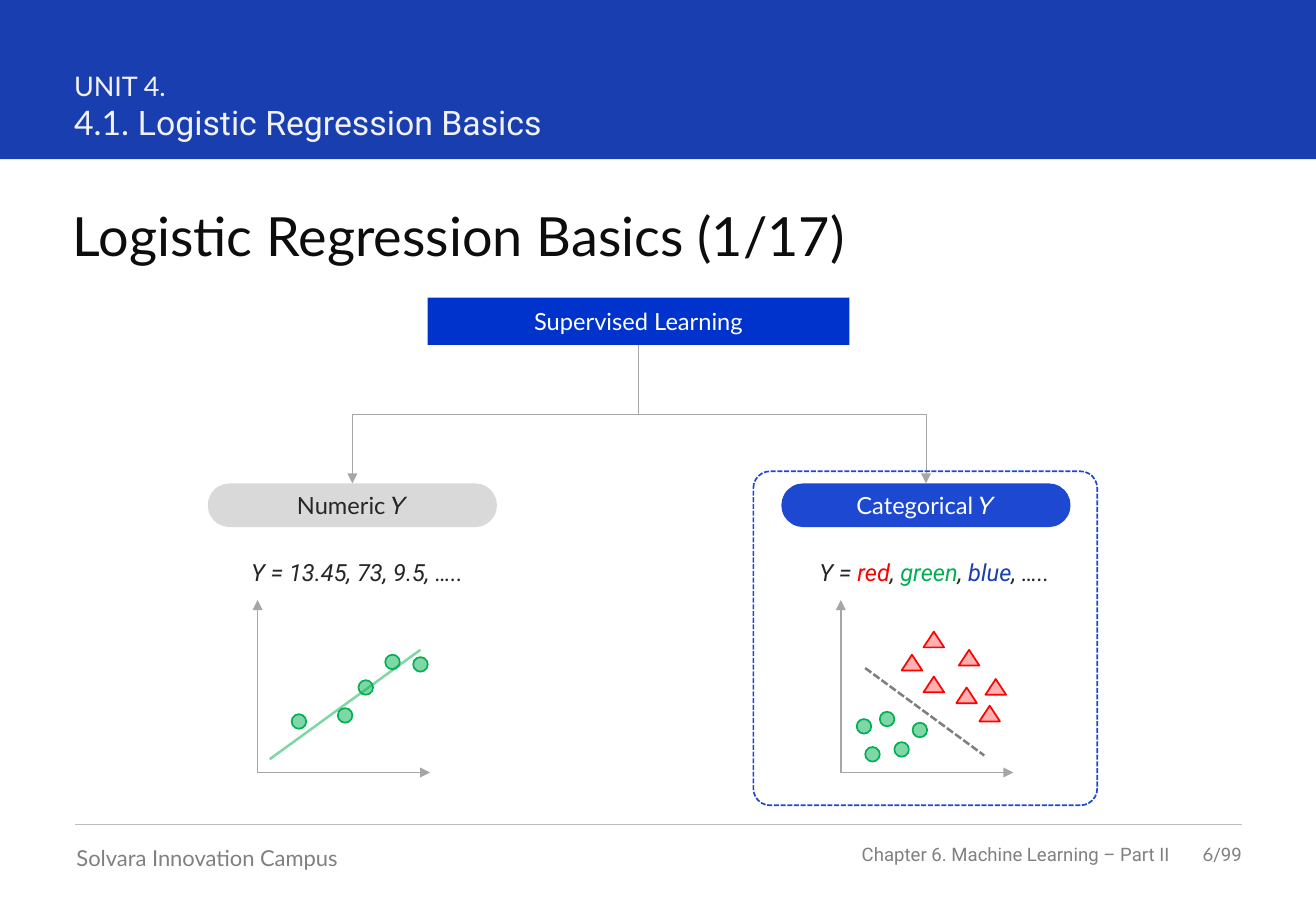
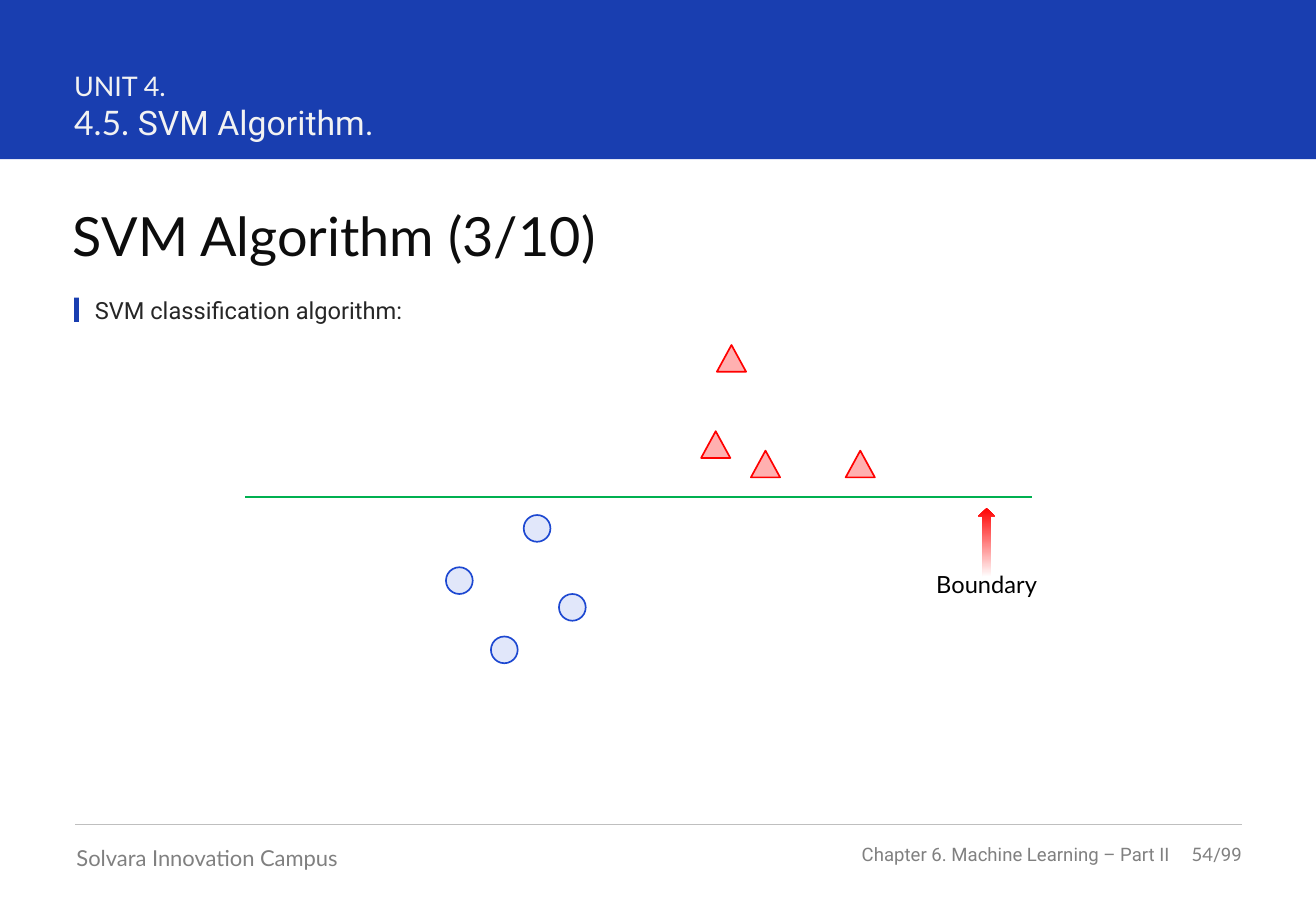
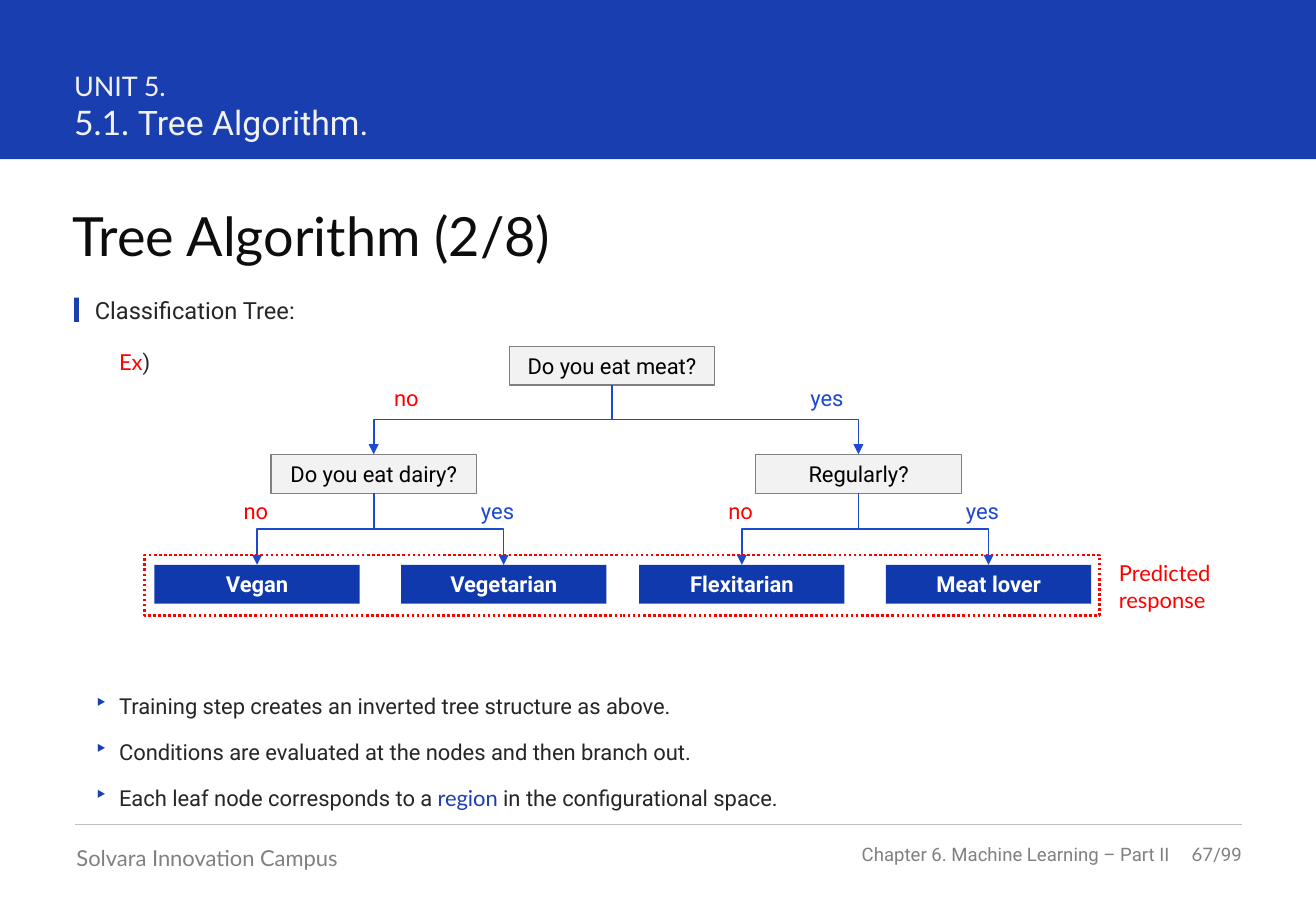
from lxml.etree import SubElement
from pptx import Presentation
from pptx.dml.color import RGBColor
from pptx.enum.dml import MSO_LINE
from pptx.enum.shapes import MSO_CONNECTOR, MSO_SHAPE
from pptx.enum.text import MSO_ANCHOR, PP_ALIGN
from pptx.oxml.ns import qn
from pptx.util import Pt

PX = 9144
INK = {
    "band": "193EB0", "pale": "F2F2F2", "title": "0D0D0D", "text": "262626",
    "gray": "808080", "rule": "BFBFBF", "axis": "A6A6A6", "pill": "D9D9D9",
    "root": "0033CC", "blue": "1D48D1", "leaf": "0F39AD", "sky": "C5D1F7",
    "red": "FF0000", "green": "00B050", "white": "FFFFFF", "black": "000000",
}
INK = {name: RGBColor.from_string(code) for name, code in INK.items()}
LEFT, MID, RIGHT = PP_ALIGN.LEFT, PP_ALIGN.CENTER, PP_ALIGN.RIGHT
RECT, PILL = MSO_SHAPE.RECTANGLE, MSO_SHAPE.ROUNDED_RECTANGLE
DOT, PEAK = MSO_SHAPE.OVAL, MSO_SHAPE.ISOSCELES_TRIANGLE


def put(page, box, text=None, kind=None, fill=None, alpha=None, line=None, width=1,
        dash=None, bend=None, size=13, font="Roboto", color="text", bold=False,
        slant=False, align=LEFT, middle=False, inset=(0, 0, 0, 0), lead=None,
        after=None, mark=None):
    spot = [n * PX for n in box]
    if kind is None:
        shape = page.shapes.add_textbox(*spot)
    else:
        shape = page.shapes.add_shape(kind, *spot)
        shape.shadow.inherit = False
        shape.fill.background()
        shape.line.fill.background()
    if fill:
        shape.fill.solid()
        shape.fill.fore_color.rgb = INK[fill]
        if alpha:
            tint = next(shape.element.spPr.iter(qn("a:srgbClr")))
            SubElement(tint, qn("a:alpha"), val=str(alpha * 1000))
    if line:
        shape.line.color.rgb = INK[line]
        shape.line.width = Pt(width)
        if dash:
            shape.line.dash_style = dash
    if bend is not None:
        shape.adjustments[0] = bend
    if text is None:
        return shape
    frame = shape.text_frame
    frame.word_wrap = True
    frame.vertical_anchor = MSO_ANCHOR.MIDDLE if middle else MSO_ANCHOR.TOP
    (frame.margin_left, frame.margin_top,
     frame.margin_right, frame.margin_bottom) = [n * PX for n in inset]
    rows = [[text]] if isinstance(text, str) else text
    for i, row in enumerate(rows):
        para = frame.add_paragraph() if i else frame.paragraphs[0]
        para.alignment = align
        if mark:
            props = para._p.get_or_add_pPr()
            props.set("marL", str(20 * PX))
            props.set("indent", str(-20 * PX))
            tint = SubElement(props, qn("a:buClr"))
            SubElement(tint, qn("a:srgbClr"), val=str(INK["band"]))
            SubElement(props, qn("a:buChar"), char=mark)
        if lead:
            para.line_spacing = lead
        if after:
            para.space_after = Pt(after)
        for part in row:
            words, own = (part, {}) if isinstance(part, str) else part
            run = para.add_run()
            run.text = words
            run.font.size = Pt(own.get("size", size))
            run.font.name = own.get("font", font)
            run.font.color.rgb = INK[own.get("color", color)]
            run.font.bold = bold
            run.font.italic = slant
    return shape


def wire(page, start, end, color, width, head=False, dash=None, alpha=None):
    if isinstance(start, tuple):
        spot = [n * PX for n in start + end]
        link = page.shapes.add_connector(MSO_CONNECTOR.STRAIGHT, *spot)
    else:
        link = page.shapes.add_connector(MSO_CONNECTOR.ELBOW, 0, 0, PX, PX)
        link.begin_connect(start, 2)
        link.end_connect(end, 0)
        x1, y1 = start.left + start.width // 2, start.top + start.height
        x2, y2 = end.left + end.width // 2, end.top
        span, drop = abs(x2 - x1), y2 - y1
        link.left = (x1 + x2 - drop) // 2
        link.top = (y1 + y2 - span) // 2
        link.width, link.height = drop, span
        link.rotation = 270 if x2 > x1 else 90
        frame = link.element.spPr.find(qn("a:xfrm"))
        frame.set("flipH", "1" if x2 > x1 else "0")
        frame.set("flipV", "0")
    link.line.color.rgb = INK[color]
    link.line.width = Pt(width)
    if dash:
        link.line.dash_style = dash
    props = link.element.spPr
    if alpha:
        tint = next(props.iter(qn("a:srgbClr")))
        SubElement(tint, qn("a:alpha"), val=str(alpha * 1000))
    if head:
        SubElement(props.find(qn("a:ln")), qn("a:tailEnd"), type="triangle")
    SubElement(props, qn("a:effectLst"))


deck = Presentation()
deck.slide_width, deck.slide_height = 1083 * PX, 750 * PX
heads = [
    ("UNIT 4.", "4.1. ", "Logistic Regression Basics", "Logistic Regression Basics (1/17)", "6", None),
    ("UNIT 4.", "4.5. ", "SVM Algorithm.", "SVM Algorithm (3/10)", "54", "SVM classification algorithm:"),
    ("UNIT 5.", "5.1. ", "Tree Algorithm.", "Tree Algorithm (2/8)", "67", "Classification Tree:"),
]
pages = []
for unit, part, topic, title, page_no, lead_in in heads:
    page = deck.slides.add_slide(deck.slide_layouts[6])
    pages.append(page)
    put(page, (0, 0, 1083, 131), kind=RECT, fill="band")
    put(page, (600, 694, 363, 19), "Chapter 6. Machine Learning – Part II",
        size=11, color="gray", align=RIGHT, middle=True)
    put(page, (963, 694, 59, 19), [[(page_no, {"font": "Lato"}), "/99"]],
        size=11, color="gray", align=RIGHT, middle=True)
    wire(page, (62, 679), (1022, 679), "rule", 0.5)
    put(page, (63, 695, 316, 22), "Solvara Innovation Campus", font="Lato", color="gray")
    put(page, (61, 57, 637, 61),
        [[(unit, {"size": 16})], [part, (topic, {"font": "Roboto"})]],
        size=20, font="Lato", color="pale")
    put(page, (60, 167, 962, 54), title, size=32, font="Lato", color="title")
    if lead_in:
        put(page, (61, 245, 4, 20), kind=RECT, fill="band")
        put(page, (78, 244, 895, 24), lead_in, size=14)
basics, svm, tree = pages

label = dict(size=14, font="Lato", align=MID, middle=True)
root = put(basics, (352, 245, 347, 39), "Supervised Learning", kind=RECT,
           fill="root", color="white", **label)
for x, name, fill, color in [(171, "Numeric 𝑌", "pill", "text"),
                             (643, "Categorical 𝑌", "blue", "white")]:
    pill = put(basics, (x, 398, 238, 36), name, kind=PILL, bend=0.5,
               fill=fill, color=color, **label)
    wire(basics, root, pill, "axis", 0.5, head=True)
put(basics, (620, 388, 283, 275), kind=PILL, bend=0.05, line="blue", dash=MSO_LINE.SQUARE_DOT)
given = dict(size=14, slant=True, align=MID, middle=True)
put(basics, (121, 459, 346, 24), "Y = 13.45, 73, 9.5, …..", **given)
put(basics, (576, 459, 386, 24),
    [["Y = ", ("red", {"color": "red"}), ", ", ("green", {"color": "green"}), ", ",
      ("blue", {"color": "band"}), ", ….."]], **given)
for x in (212, 692):
    wire(basics, (x, 636), (x + 142, 636), "axis", 1, head=True)
    wire(basics, (x, 636), (x, 494), "axis", 1, head=True)
wire(basics, (222, 625), (346, 535), "green", 1.5, alpha=50)
wire(basics, (712, 550), (810, 622), "black", 1.5, dash=MSO_LINE.SQUARE_DOT, alpha=50)

plots = [
    (basics, DOT, 12, 12, "green", "green", 50,
     [(240, 588), (278, 583), (295, 560), (317, 539), (340, 541),
      (705, 592), (724, 586), (736, 611), (712, 615), (751, 595)]),
    (basics, PEAK, 17, 13, "red", "red", 31,
     [(742, 539), (760, 557), (787, 566), (806, 581), (789, 535), (760, 520), (811, 559)]),
    (svm, DOT, 22, 22, "sky", "blue", 50,
     [(367, 467), (431, 424), (460, 489), (404, 524)]),
    (svm, PEAK, 24, 22, "red", "red", 31,
     [(577, 355), (618, 371), (590, 284), (696, 371)]),
]
for page, kind, wide, high, fill, line, alpha, spots in plots:
    for x, y in spots:
        put(page, (x, y, wide, high), kind=kind, fill=fill, alpha=alpha, line=line)

wire(svm, (202, 409), (849, 409), "green", 1)
arrow = put(svm, (805, 418, 14, 57), kind=MSO_SHAPE.UP_ARROW)
arrow.fill.gradient()
arrow.fill.gradient_angle = 270
for stop, name in zip(arrow.fill.gradient_stops, ("red", "white")):
    stop.color.rgb = INK[name]
pad = (10, 5, 10, 5)
put(svm, (743, 464, 138, 23), "Boundary", size=14, font="Lato", color="black",
    align=MID, inset=pad)

put(tree, (78, 551, 944, 125),
    [["Training step creates an inverted tree structure as above."],
     ["Conditions are evaluated at the nodes and then branch out."],
     ["Each leaf node corresponds to a ", ("region", {"font": "Lato", "color": "band"}),
      " in the configurational space."]],
    inset=(0, 8, 16, 8), lead=1.5, after=4, mark="‣")
put(tree, (98, 268, 200, 45), [[("Ex", {"font": "Lato", "color": "red"}), ")"]],
    inset=(0, 8, 16, 8), lead=1.5)
node = dict(kind=RECT, fill="pale", line="gray", width=0.75, color="black", align=MID, inset=pad)
leaf = dict(kind=RECT, fill="leaf", color="white", bold=True, align=MID, inset=pad)
top = put(tree, (419, 285, 169, 32), "Do you eat meat?", **node)
signs = [(308, 312, "no"), (654, 312, "yes")]
for x, ask, kids in [(223, "Do you eat dairy?", ("Vegan", "Vegetarian")),
                     (622, "Regularly?", ("Flexitarian", "Meat lover"))]:
    fork = put(tree, (x, 374, 169, 32), ask, **node)
    wire(tree, top, fork, "blue", 1, head=True)
    signs += [(x - 39, 405, "no"), (x + 160, 405, "yes")]
    for shift, kid in zip((-96, 107), kids):
        tip = put(tree, (x + shift, 465, 169, 32), kid, **leaf)
        wire(tree, fork, tip, "blue", 1, head=True)
for x, y, sign in signs:
    put(tree, (x, y, 53, 32), sign, color="red" if sign == "no" else "blue",
        align=MID, inset=pad)
put(tree, (119, 457, 786, 50), kind=RECT, line="red", width=1.5, dash=MSO_LINE.ROUND_DOT)
put(tree, (911, 456, 124, 54), "Predicted response", font="Lato", color="red", inset=pad)

deck.save("out.pptx")
